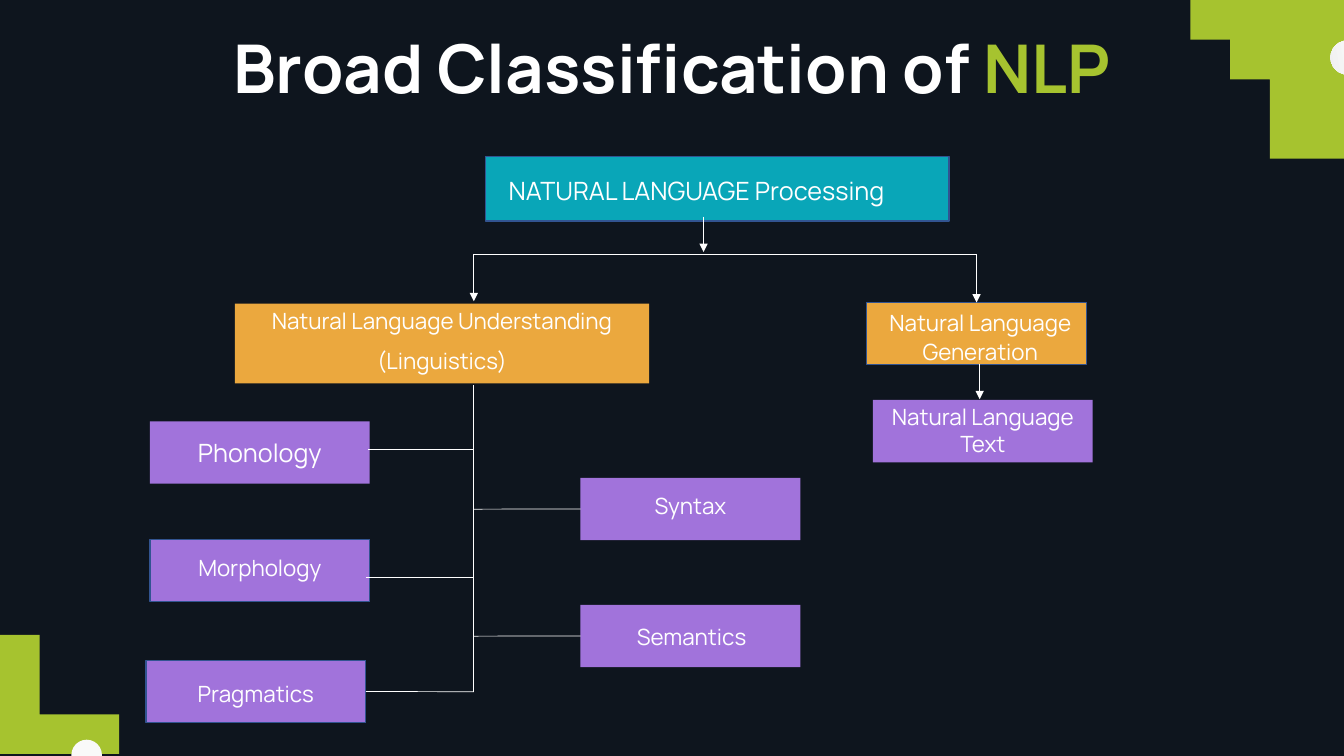
from dataclasses import dataclass
from typing import Any, NamedTuple, Optional

from lxml import etree
from pptx import Presentation
from pptx import slide as sl
from pptx import util as u
from pptx.dml import color as c
from pptx.enum import shapes, text
from pptx.oxml import ns
from pptx.shapes import autoshape as auto

NIGHT = c.RGBColor(0x0E, 0x15, 0x1E)
WHITE = c.RGBColor(0xFF, 0xFF, 0xFF)
PALE = c.RGBColor(0xF0, 0xF0, 0xF0)
SNOW = c.RGBColor(0xF9, 0xF9, 0xF9)
LIME = c.RGBColor(0xA6, 0xC3, 0x2F)
TEAL = c.RGBColor(0x09, 0xA6, 0xB8)
AMBER = c.RGBColor(0xEB, 0xA8, 0x3E)
VIOLET = c.RGBColor(0xA1, 0x73, 0xDB)
NAVY = c.RGBColor(0x32, 0x54, 0x91)

LEFT = text.PP_ALIGN.LEFT
MID = text.PP_ALIGN.CENTER
LOOSE = {"alignment": MID, "line_spacing": 1.07, "space_after": u.Pt(8)}
PLAIN = {"alignment": MID}
TRUNK = 11.94
BAR = 6.4
STEPS = 24

Point = tuple[float, float]


class Area(NamedTuple):
    left: float
    top: float
    width: float = 5.54
    height: float = 1.57


@dataclass
class Box:
    lines: list[str]
    area: Area
    label: Area
    fill: c.RGBColor = VIOLET
    edge: bool = False
    size: int = 16
    style: Optional[dict[str, Any]] = None


@dataclass
class Link:
    start: Point
    end: Point
    arrow: bool = False
    source: Optional[str] = None
    target: Optional[str] = None
    side: int = 1


BOXES = {
    "root": Box(["NATURAL LANGUAGE Processing"], Area(12.24, 3.94, 11.68, 1.63),
                Area(12.57, 4.29, 11.28, 1.02), TEAL, True, 18, {"alignment": LEFT}),
    "grasp": Box(["Natural Language Understanding", "(Linguistics)"],
                 Area(5.92, 7.65, 10.44, 2.01), Area(5.92, 7.57, 10.44, 1.98), AMBER),
    "make": Box(["Natural Language Generation"], Area(21.84, 7.62),
                Area(21.67, 7.62, 6.07, 1.7), AMBER, True),
    "text": Box(["Natural Language Text"], Area(22, 10.08),
                Area(22, 10.03, 5.54, 1.63), style=PLAIN),
    "sound": Box(["Phonology"], Area(3.78, 10.62), Area(3.78, 10.85, 5.54, 1.04), size=18),
    "form": Box(["Morphology"], Area(3.78, 13.59), Area(3.78, 13.79, 5.54, 0.97), edge=True),
    "use": Box(["Pragmatics"], Area(3.68, 16.64), Area(3.68, 16.97, 5.54, 0.97), edge=True),
    "order": Box(["Syntax"], Area(14.63, 12.04), Area(14.63, 12.24, 5.54, 0.97)),
    "sense": Box(["Semantics"], Area(14.63, 15.24), Area(14.66, 15.54, 5.54, 0.97)),
}

LINKS = [
    Link((17.73, 5.46), (17.73, 6.35), True),
    Link((TRUNK, BAR), (24.61, BAR)),
    Link((TRUNK, BAR), (TRUNK, 7.59), True),
    Link((24.61, BAR), (24.61, 7.62), True, target="make", side=0),
    Link((24.69, 9.17), (24.69, 10.06), True),
    Link((TRUNK, 9.7), (TRUNK, 17.43)),
    Link((9.27, 11.33), (TRUNK, 11.33)),
    Link((9.22, 14.55), (TRUNK, 14.55)),
    Link((9.22, 17.43), (TRUNK, 17.43), source="use", side=3),
    Link((TRUNK, 12.83), (14.63, 12.83), target="order"),
    Link((TRUNK, 16.03), (14.63, 16.03), target="sense"),
]

BLOBS: list[list[list[Point]]] = [
    [[(29.54, 0)], [(33.96, 0)], [(33.96, 3.56)],
     [(33.66, 3.94), (32.41, 4.32), (31.65, 3.28)],
     [(31.27, 2.46), (31.8, 1.85), (31.32, 1.24)],
     [(30.84, 0.64), (29.46, 1.42), (29.54, 0)]],
    [[(0, 15.44)],
     [(1.09, 15.75), (1.24, 16.61), (1.3, 17.65)],
     [(1.35, 18.69), (2.95, 17.83), (3.07, 19.05)],
     [(0, 19.05)]],
]


def apply(item: Any, style: dict[str, Any]) -> None:
    for key, value in style.items():
        setattr(item, key, value)


def place(area: Area) -> list[u.Length]:
    return [u.Cm(size) for size in area]


def paint(shape: auto.Shape, fill: c.RGBColor, edge: bool = False) -> None:
    shape.shadow.inherit = False
    shape.fill.solid()
    shape.fill.fore_color.rgb = fill
    if edge:
        shape.line.color.rgb = NAVY
        shape.line.width = u.Pt(1)
    else:
        shape.line.fill.background()


def curve(a: Point, b: Point, d: Point, e: Point) -> list[Point]:
    points = []
    for step in range(1, STEPS + 1):
        t = step / STEPS
        s = 1 - t
        x, y = (s**3 * p + 3 * s * s * t * q + 3 * s * t * t * r + t**3 * v
                for p, q, r, v in zip(a, b, d, e))
        points.append((x, y))
    return points


def draw_blob(slide: sl.Slide, parts: list[list[Point]]) -> None:
    points = [parts[0][0]]
    for part in parts[1:]:
        points += curve(points[-1], *part) if len(part) == 3 else part
    pen = slide.shapes.build_freeform(*points[0], scale=u.Cm(1))
    pen.add_line_segments(points[1:], close=True)
    paint(pen.convert_to_shape(), LIME)


def draw_dot(slide: sl.Slide, area: Area) -> auto.Shape:
    dot = slide.shapes.add_shape(shapes.MSO_SHAPE.OVAL, *place(area))
    paint(dot, SNOW)
    return dot


def draw_box(slide: sl.Slide, box: Box) -> auto.Shape:
    shape = slide.shapes.add_shape(shapes.MSO_SHAPE.RECTANGLE, *place(box.area))
    paint(shape, box.fill, box.edge)
    frame = slide.shapes.add_textbox(*place(box.label)).text_frame
    apply(frame, {"text": "\n".join(box.lines), "word_wrap": True,
                  "auto_size": text.MSO_AUTO_SIZE.SHAPE_TO_FIT_TEXT})
    for para in frame.paragraphs:
        apply(para, box.style or LOOSE)
        apply(para.font, {"name": "Manrope", "size": u.Pt(box.size)})
        para.font.color.rgb = WHITE
    return shape


def draw_link(slide: sl.Slide, link: Link, drawn: dict[str, auto.Shape]) -> None:
    ends = [u.Cm(value) for value in (*link.start, *link.end)]
    line = slide.shapes.add_connector(shapes.MSO_CONNECTOR.STRAIGHT, *ends)
    if link.source:
        line.begin_connect(drawn[link.source], link.side)
    if link.target:
        line.end_connect(drawn[link.target], link.side)
    line.line.color.rgb = WHITE
    line.line.width = u.Pt(0.5)
    props = line.element.spPr
    if link.arrow:
        etree.SubElement(props.find(ns.qn("a:ln")), ns.qn("a:tailEnd"), type="triangle")
    etree.SubElement(props, ns.qn("a:effectLst"))


def draw_title(slide: sl.Slide) -> None:
    title = slide.shapes.title
    spots = place(Area(3.45, 0.91, 26.97, 1.8))
    apply(title, dict(zip(("left", "top", "width", "height"), spots)))
    apply(title.text_frame, {"word_wrap": True, "auto_size": text.MSO_AUTO_SIZE.NONE,
                             "vertical_anchor": text.MSO_ANCHOR.MIDDLE})
    para = title.text_frame.paragraphs[0]
    apply(para, {"alignment": MID, "line_spacing": 0.9})
    for words, hue in (("Broad Classification of ", WHITE), ("NLP", LIME)):
        run = para.add_run()
        run.text = words
        apply(run.font, {"name": "Manrope", "size": u.Pt(48), "bold": True})
        run.font.color.rgb = hue


def main() -> None:
    deck = Presentation()
    apply(deck, {"slide_width": u.Cm(33.87), "slide_height": u.Cm(19.05)})
    slide = deck.slides.add_slide(deck.slide_layouts[5])
    slide.background.fill.solid()
    slide.background.fill.fore_color.rgb = NIGHT
    for blob in BLOBS:
        draw_blob(slide, blob)
    glow = draw_dot(slide, Area(33.53, 1.02, 0.86, 0.86))
    glow.fill.gradient()
    glow.fill.gradient_angle = 190
    for stop, hue in zip(glow.fill.gradient_stops, (WHITE, PALE)):
        stop.color.rgb = hue
    draw_dot(slide, Area(1.8, 18.64, 0.77, 0.77))
    drawn = {name: draw_box(slide, box) for name, box in BOXES.items()}
    for link in LINKS:
        draw_link(slide, link, drawn)
    draw_title(slide)
    deck.save("out.pptx")


if __name__ == "__main__":
    main()
